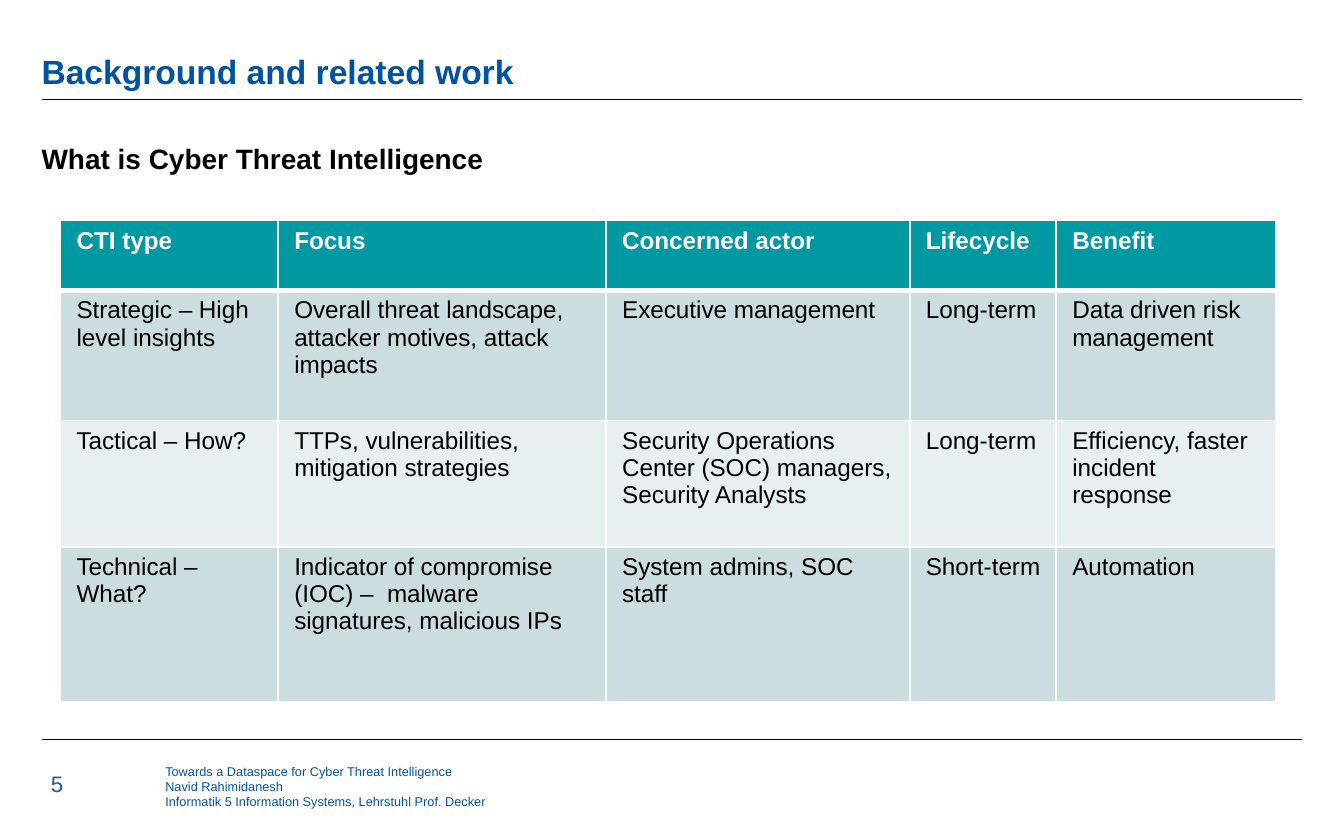
import pptx
import pptx.dml.color
import pptx.enum.shapes
import pptx.enum.text
import pptx.oxml
import pptx.oxml.ns
import pptx.util
from pptx.util import Inches

RGBColor = pptx.dml.color.RGBColor
Anchor = pptx.enum.text.MSO_ANCHOR

WHITE = RGBColor(0xFF, 0xFF, 0xFF)
BLACK = RGBColor(0x00, 0x00, 0x00)
BLUE = RGBColor(0x00, 0x54, 0x9F)
NUMBER_BLUE = RGBColor(0x23, 0x5D, 0x97)
TEAL = RGBColor(0x00, 0x98, 0xA1)
BAND_DARK = RGBColor(0xCC, 0xDD, 0xE0)
BAND_LIGHT = RGBColor(0xE7, 0xEF, 0xF0)


def format_text(frame, size, color, bold=False):
    for para in frame.paragraphs:
        for span in para.runs:
            span.font.name = "Arial"
            span.font.size = pptx.util.Pt(size)
            span.font.bold = bold
            span.font.color.rgb = color


def set_border(cell, side, width):
    properties = cell._tc.get_or_add_tcPr()
    border = pptx.oxml.parse_xml(
        f'<a:{side} {pptx.oxml.ns.nsdecls("a")} w="{pptx.util.Pt(width)}">'
        f'<a:solidFill><a:srgbClr val="{WHITE}"/></a:solidFill></a:{side}>'
    )
    properties.append(border)


deck = pptx.Presentation()
deck.slide_width = Inches(10)
deck.slide_height = Inches(6.25)
page = deck.slides.add_slide(deck.slide_layouts[6])

for y in (0.74, 5.5):
    rule = page.shapes.add_connector(
        pptx.enum.shapes.MSO_CONNECTOR.STRAIGHT,
        Inches(0.31), Inches(y), Inches(9.69), Inches(y),
    )
    rule.line.color.rgb = BLACK
    rule.line.width = pptx.util.Pt(0.5)
    rule._element.spPr.append(
        pptx.oxml.parse_xml(f'<a:effectLst {pptx.oxml.ns.nsdecls("a")}/>')
    )

footer = (
    "Towards a Dataspace for Cyber Threat Intelligence\n"
    "Navid Rahimidanesh\n"
    "Informatik 5 Information Systems, Lehrstuhl Prof. Decker"
)
texts = [
    ("Background and related work", 0.31, 0.18, 9.37, 0.5, 18, BLUE, True, Anchor.BOTTOM, 0, 0, 0.9),
    ("What is Cyber Threat Intelligence", 0.31, 1.05, 9.37, 0.23, 15, BLACK, True, Anchor.TOP, 0, 0, 1),
    (footer, 1.23, 5.68, 4.65, 0.57, 6.8, BLUE, False, Anchor.TOP, 0, 0, 1),
    ("5", 0.28, 5.68, 0.42, 0.3, 12, NUMBER_BLUE, False, Anchor.TOP, 0.1, 0.05, 1),
]
for text, left, top, width, height, size, color, bold, anchor, inset_x, inset_y, spacing in texts:
    box = page.shapes.add_textbox(Inches(left), Inches(top), Inches(width), Inches(height))
    frame = box.text_frame
    frame.word_wrap = True
    frame.vertical_anchor = anchor
    frame.margin_left = frame.margin_right = Inches(inset_x)
    frame.margin_top = frame.margin_bottom = Inches(inset_y)
    frame.text = text
    for para in frame.paragraphs:
        para.line_spacing = spacing
    format_text(frame, size, color, bold)

rows = [
    ("CTI type", "Focus", "Concerned actor", "Lifecycle", "Benefit"),
    ("Strategic – High level insights",
     "Overall threat landscape, attacker motives, attack impacts",
     "Executive management", "Long-term", "Data driven risk management"),
    ("Tactical – How?", "TTPs, vulnerabilities, mitigation strategies",
     "Security Operations Center (SOC) managers, Security Analysts",
     "Long-term", "Efficiency, faster incident response"),
    ("Technical – What?",
     "Indicator of compromise (IOC) –  malware signatures, malicious IPs",
     "System admins, SOC staff", "Short-term", "Automation"),
]
column_widths = [1.62, 2.44, 2.26, 1.09, 1.63]
row_heights = [0.52, 0.97, 0.94, 1.15]
row_fills = [TEAL, BAND_DARK, BAND_LIGHT, BAND_DARK]

table = page.shapes.add_table(
    len(rows), len(column_widths), Inches(0.45), Inches(1.64),
    Inches(sum(column_widths)), Inches(sum(row_heights)),
).table
for column, width in zip(table.columns, column_widths):
    column.width = Inches(width)
for row_index, row in enumerate(rows):
    table.rows[row_index].height = Inches(row_heights[row_index])
    header = row_index == 0
    for column_index, text in enumerate(row):
        cell = table.cell(row_index, column_index)
        cell.margin_left = cell.margin_right = Inches(0.12)
        cell.margin_top = cell.margin_bottom = Inches(0.05)
        cell.text_frame.text = text
        format_text(cell.text_frame, 13, WHITE if header else BLACK, header)
        set_border(cell, "lnL", 1)
        set_border(cell, "lnR", 1)
        set_border(cell, "lnT", 3 if row_index == 1 else 1)
        set_border(cell, "lnB", 3 if header else 1)
        cell.fill.solid()
        cell.fill.fore_color.rgb = row_fills[row_index]

deck.save("out.pptx")
